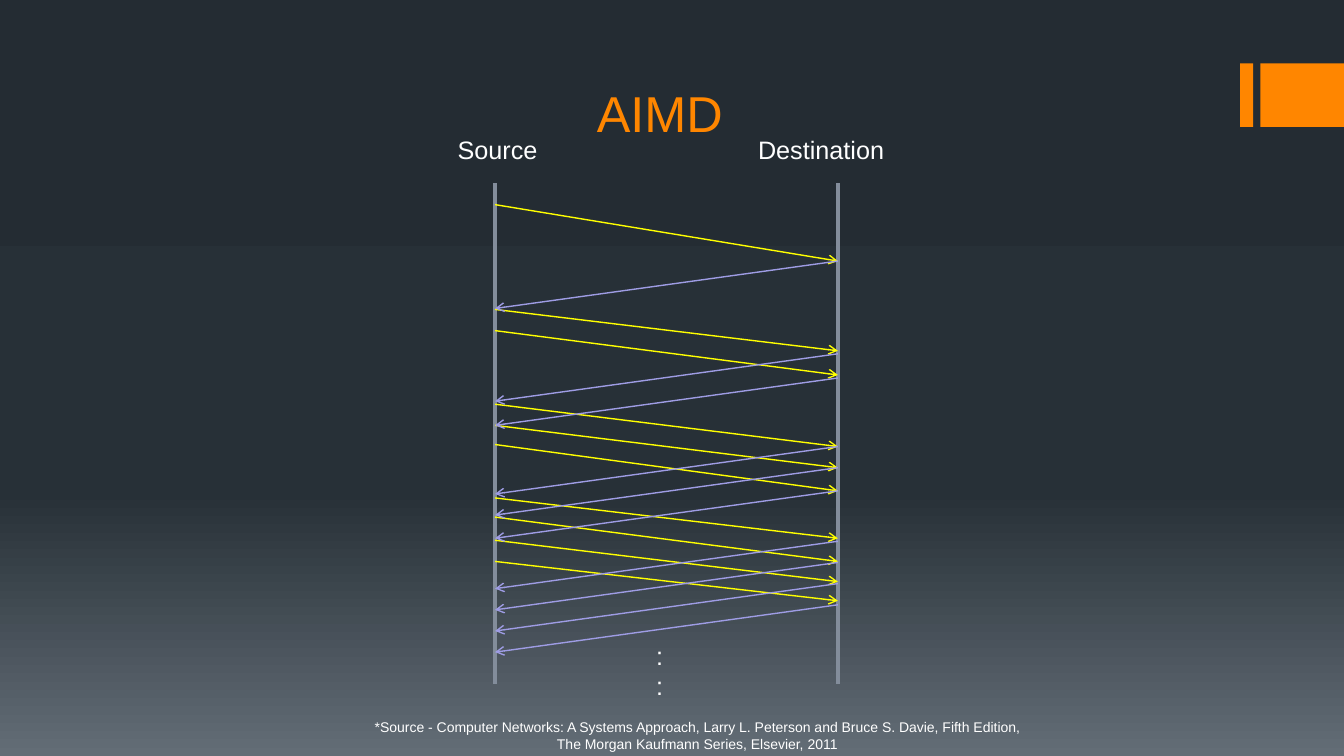
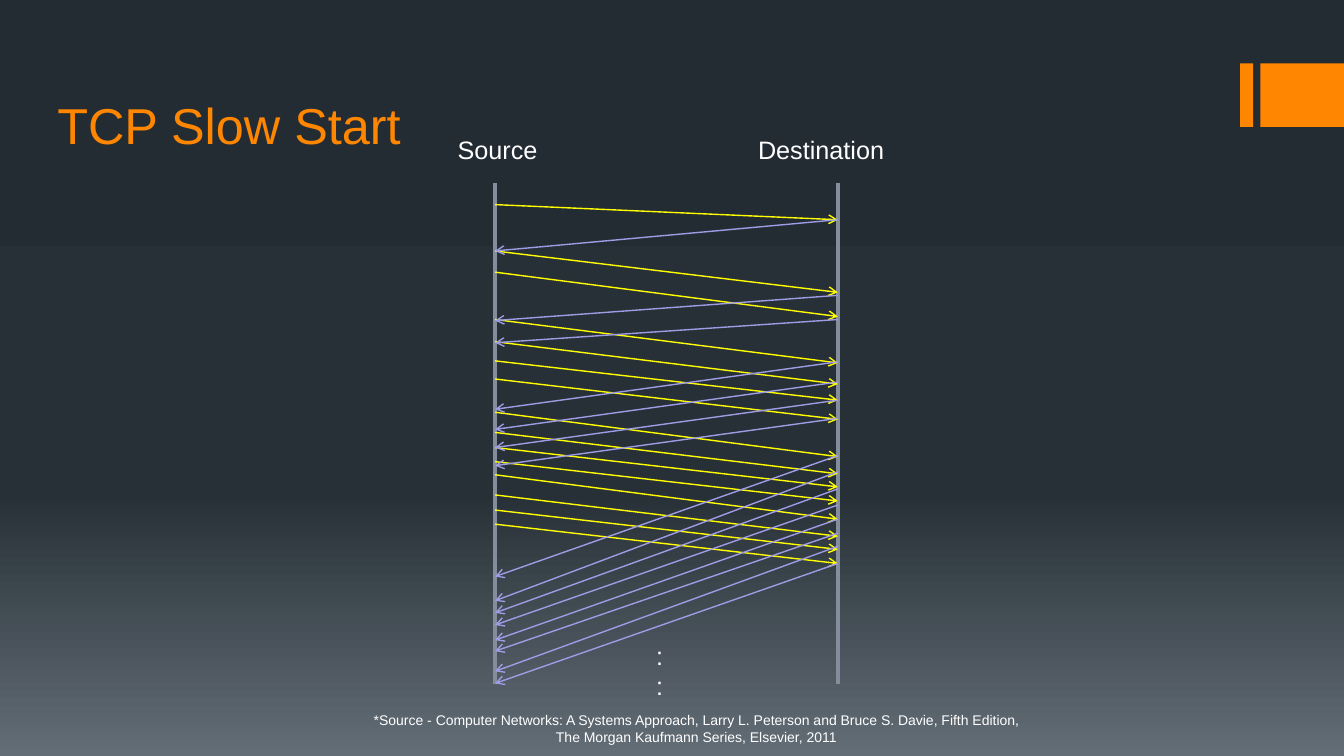
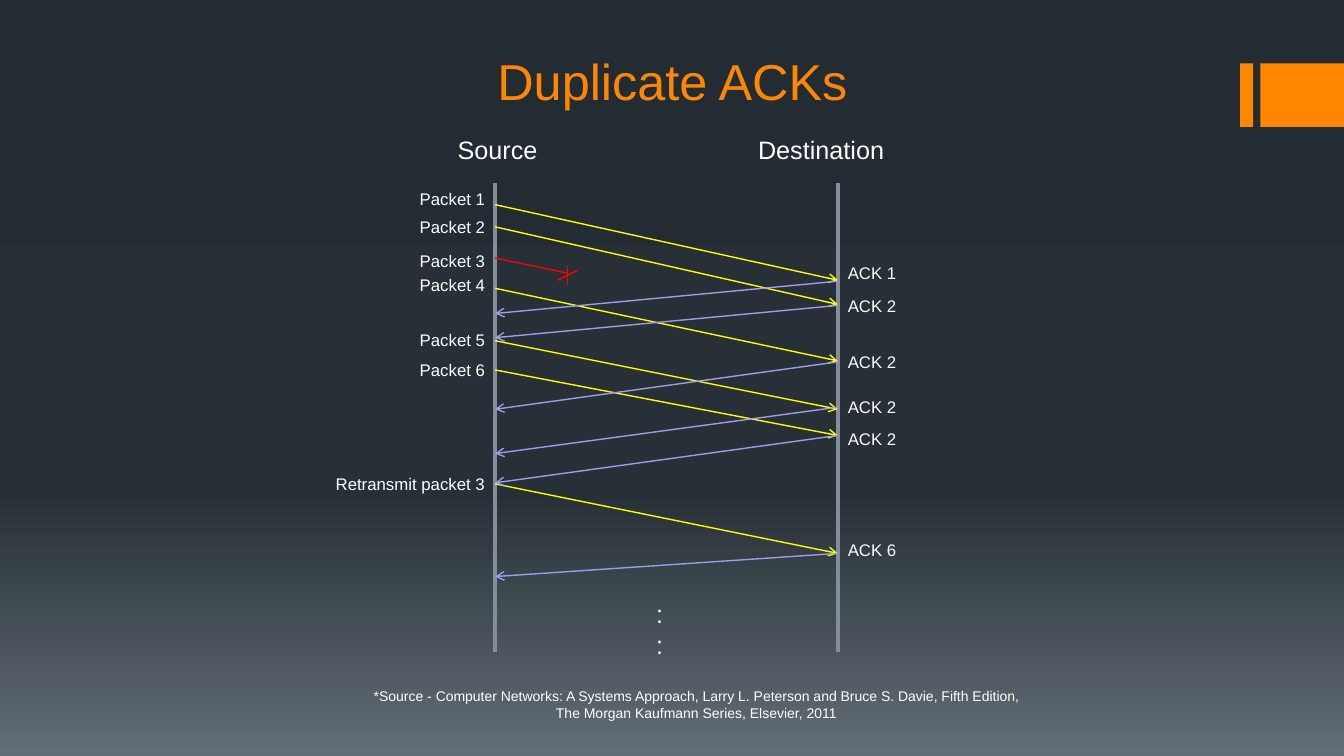
from copy import deepcopy
from dataclasses import dataclass

from lxml.etree import SubElement
from pptx import Presentation
from pptx.dml.color import RGBColor
from pptx.enum.shapes import MSO_CONNECTOR, MSO_SHAPE
from pptx.enum.text import MSO_ANCHOR, PP_ALIGN
from pptx.oxml.ns import qn
from pptx.util import Inches, Pt

ORANGE = RGBColor(0xFF, 0x86, 0x00)
WHITE = RGBColor(0xFF, 0xFF, 0xFF)
LIFELINE = RGBColor(0x83, 0x8D, 0x9B)
YELLOW = RGBColor(0xFF, 0xFF, 0x00)
LILAC = RGBColor(0x9E, 0x9C, 0xE4)
RED = RGBColor(0xFF, 0x00, 0x00)
BACKGROUND_STOPS = [
    (0, RGBColor(0x24, 0x2C, 0x33)),
    (0.65, RGBColor(0x27, 0x30, 0x37)),
    (1, RGBColor(0x63, 0x6D, 0x76)),
]
FONT = "Arial"
CELL = Inches(0.1)  # grid of 133.33 columns by 75 rows
CITATION = (
    "*Source - Computer Networks: A Systems Approach, Larry L. Peterson and "
    "Bruce S. Davie, Fifth Edition, The Morgan Kaufmann Series, Elsevier, 2011"
)


@dataclass
class Box:
    """A region in grid cells."""
    left: float
    top: float
    width: float
    height: float

    @property
    def right(self):
        return self.left + self.width

    def emu(self):
        return [cells(n) for n in (self.left, self.top, self.width, self.height)]


def cells(count):
    return round(count * CELL)


def paint_background(master):
    fill = master.background.fill
    fill.gradient()
    fill.gradient_angle = 270
    stop_list = master.element.find(".//" + qn("a:gsLst"))
    stop_list.insert(1, deepcopy(stop_list[0]))
    for stop, (position, color) in zip(fill.gradient_stops, BACKGROUND_STOPS):
        stop.position = position
        stop.color.rgb = color


def add_text(page, box, lines, size, color=WHITE, align=PP_ALIGN.LEFT,
             anchor=MSO_ANCHOR.TOP):
    frame = page.shapes.add_textbox(*box.emu()).text_frame
    frame.word_wrap = True
    frame.vertical_anchor = anchor
    for index, line in enumerate(lines):
        para = frame.add_paragraph() if index else frame.paragraphs[0]
        para.alignment = align
        span = para.add_run()
        span.text = line
        span.font.name = FONT
        span.font.size = Pt(size)
        span.font.color.rgb = color


def add_line(page, start, end, color, width=1, arrow=False):
    line = page.shapes.add_connector(
        MSO_CONNECTOR.STRAIGHT, *[cells(n) for n in (*start, *end)])
    line.line.color.rgb = color
    line.line.width = Pt(width)
    properties = line.element.spPr
    if arrow:
        SubElement(properties.find(qn("a:ln")), qn("a:tailEnd"), type="arrow")
    SubElement(properties, qn("a:effectLst"))


def add_frame(page, title_box, title, title_align, citation_box):
    """Corner bars, title and citation shared by all slides."""
    for left, width in ((123, 1.3), (125, 8.33)):
        bar = page.shapes.add_shape(
            MSO_SHAPE.RECTANGLE, *Box(left, 6.3, width, 6.3).emu())
        bar.shadow.inherit = False
        bar.fill.solid()
        bar.fill.fore_color.rgb = ORANGE
        bar.line.fill.background()
    add_text(page, title_box, [title], 36, ORANGE, title_align, MSO_ANCHOR.BOTTOM)
    add_text(page, citation_box, [CITATION], 10, align=PP_ALIGN.CENTER)


def add_sequence(page, box, sends, acks, dots_row):
    """Two lifelines with arrows; rows are counted from the top of the box."""
    for name, left in (("Source", box.left - 4.7), ("Destination", box.right - 8.9)):
        add_text(page, Box(left, box.top - 5.35, 21.9, 4.1), [name], 18)
    for x in (box.left, box.right):
        add_line(page, (x, box.top), (x, box.top + box.height), LIFELINE, 3)
    for rows, color, start_x, end_x in ((sends, YELLOW, box.left, box.right),
                                        (acks, LILAC, box.right, box.left)):
        for start, end in rows:
            add_line(page, (start_x, box.top + start), (end_x, box.top + end),
                     color, arrow=True)
    dots = Box(box.left + box.width / 2 - 2, box.top + dots_row, 4.2, 7.1)
    add_text(page, dots, [":", ":"], 18)


def add_labels(page, box, packets, acks):
    for row, label in packets:
        add_text(page, Box(box.left - 18, box.top + row, 18, 3), [label], 12,
                 align=PP_ALIGN.RIGHT)
    for row, label in acks:
        add_text(page, Box(box.right, box.top + row, 8.1, 3), [label], 12)


def add_lost_packet(page, box, row):
    """A short red line ending in a cross."""
    x, y = box.left + 7.2, box.top + row + 1.5
    for start, end in (((box.left, box.top + row), (x, y)),
                       ((x, y - 0.7), (x, y + 1.2)),
                       ((x + 1, y - 0.3), (x - 1, y + 0.7))):
        add_line(page, start, end, RED)


def build_aimd(page):
    add_frame(page, Box(12.1, 2, 106.7, 12.6), "AIMD", PP_ALIGN.CENTER,
              Box(35.8, 70.8, 66.7, 4.4))
    sends = [(2.1, 7.7), (12.5, 16.6), (14.6, 19), (21.9, 26.1), (24, 28.2),
             (25.9, 30.5), (31.2, 35.2), (33.1, 37.5), (35.4, 39.5), (37.5, 41.4)]
    ack_starts = [7.7, 16.9, 19.3, 26.1, 28.2, 30.5, 35.5, 37.6, 39.7, 41.8]
    acks = [(start, start + 4.7) for start in ack_starts]
    add_sequence(page, Box(49.1, 18.2, 34, 49.7), sends, acks, 44.8)


def build_slow_start(page):
    add_frame(page, Box(4.7, 3.2, 106.7, 12.6), "TCP Slow Start", PP_ALIGN.LEFT,
              Box(35.7, 70.1, 66.7, 4.4))
    sends = [(2.1, 3.6), (6.7, 10.8), (8.8, 13.2),
             (13.5, 17.8), (15.7, 19.9), (17.6, 21.5), (19.4, 23.4),
             (22.7, 27.1), (24.7, 28.8), (26.2, 30.1), (27.6, 31.5),
             (28.9, 33.3), (30.9, 35), (32.4, 36.3), (33.8, 37.7)]
    acks = [(3.6, 6.7), (11.1, 13.6), (13.5, 15.8),
            (17.7, 22.4), (19.7, 24.4), (21.5, 26.2), (23.3, 28),
            (27, 39), (28.6, 41.4), (30.3, 42.6), (31.9, 43.8),
            (33.3, 45.3), (34.7, 46.4), (36, 48.4), (37.7, 49.6)]
    add_sequence(page, Box(49.1, 18.2, 34, 49.7), sends, acks, 44.8)


def build_duplicate_acks(page):
    add_frame(page, Box(14.2, 3, 105, 8.5), "Duplicate ACKs", PP_ALIGN.CENTER,
              Box(35.7, 67.7, 66.7, 4.4))
    box = Box(49.1, 18.2, 34, 46.5)
    sends = [(2.1, 9.6), (4.3, 12), (10.4, 17.6), (15.6, 22.4), (18.5, 25),
             (29.8, 36.7)]
    acks = [(9.7, 12.9), (12.1, 15.3), (17.7, 22.4), (22.2, 26.8), (25, 29.7),
            (36.7, 39)]
    add_sequence(page, box, sends, acks, 40.7)
    packet_rows = [0, 2.8, 6.2, 8.6, 14, 17]
    packets = [(row, f"Packet {n}") for n, row in enumerate(packet_rows, 1)]
    packets.append((28.3, "Retransmit packet 3"))
    ack_labels = [(7.4, "ACK 1"), (10.6, "ACK 2"), (16.2, "ACK 2"),
                  (20.7, "ACK 2"), (23.8, "ACK 2"), (34.9, "ACK 6")]
    add_labels(page, box, packets, ack_labels)
    add_lost_packet(page, box, 7.4)


def main():
    deck = Presentation()
    deck.slide_width, deck.slide_height = Inches(13.33), Inches(7.5)
    paint_background(deck.slide_master)
    for build in (build_aimd, build_slow_start, build_duplicate_acks):
        build(deck.slides.add_slide(deck.slide_layouts[6]))
    deck.save("out.pptx")


if __name__ == "__main__":
    main()
